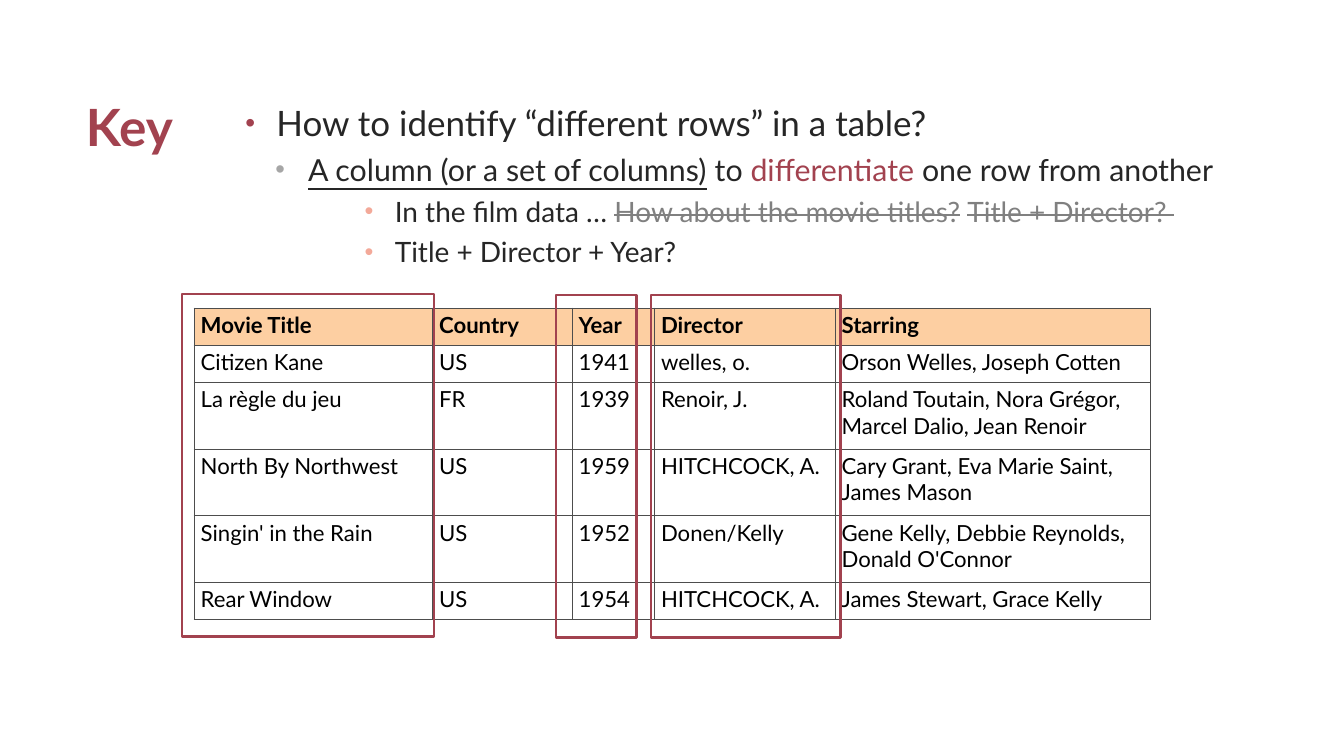
from lxml.etree import SubElement
from pptx import Presentation
from pptx.dml.color import RGBColor
from pptx.enum.shapes import MSO_SHAPE
from pptx.enum.text import MSO_ANCHOR, MSO_AUTO_SIZE, PP_ALIGN
from pptx.oxml import parse_xml
from pptx.oxml.ns import nsdecls, qn
from pptx.util import Cm, Pt

FONT = "Lato"
CRIMSON = RGBColor(0xA2, 0x42, 0x4F)
INK = RGBColor(0x26, 0x26, 0x26)
GRAY = RGBColor(0x80, 0x80, 0x80)
SILVER = RGBColor(0xA6, 0xA6, 0xA6)
SALMON = RGBColor(0xF3, 0xA9, 0x99)
PEACH = RGBColor(0xFD, 0xCF, 0xA2)
BORDER = RGBColor(0x4D, 0x4D, 0x4D)
BLACK = RGBColor(0, 0, 0)
WHITE = RGBColor(0xFF, 0xFF, 0xFF)


def style(font, size, color, bold=False):
    font.name = FONT
    font.size = Pt(size)
    font.color.rgb = color
    font.bold = bold


def add_bullet(para, left, hanging, color, percent):
    properties = para._p.get_or_add_pPr()
    properties.set("marL", str(Cm(left)))
    properties.set("indent", str(-Cm(hanging)))
    bullet_color = SubElement(properties, qn("a:buClr"))
    SubElement(bullet_color, qn("a:srgbClr"), val=str(color))
    SubElement(properties, qn("a:buSzPct"), val=str(percent * 1000))
    SubElement(properties, qn("a:buFont"), typeface="Arial")
    SubElement(properties, qn("a:buChar"), char="•")


deck = Presentation()
deck.slide_width = Cm(40.64)
deck.slide_height = Cm(22.86)
page = deck.slides.add_slide(deck.slide_layouts[5])

title = page.shapes.title
title.left, title.top, title.width, title.height = Cm(2.34), Cm(0.91), Cm(4.45), Cm(3.96)
title.text_frame.text = "Key"
title.text_frame.auto_size = MSO_AUTO_SIZE.NONE
title.text_frame.vertical_anchor = MSO_ANCHOR.BOTTOM
title.text_frame.paragraphs[0].alignment = PP_ALIGN.LEFT
style(title.text_frame.paragraphs[0].runs[0].font, 44, CRIMSON, True)

levels = [
    (0.94, 0.94, CRIMSON, 80, 30),
    (1.9, 0.99, SILVER, 90, 26),
    (4.52, 0.91, SALMON, 90, 24),
]
points = [
    (0, [("How to identify “different rows” in a table?", INK, "")]),
    (1, [
        ("A column (or a set of columns)", INK, "underline"),
        (" to ", INK, ""),
        ("differentiate", CRIMSON, ""),
        (" one row from another", INK, ""),
    ]),
    (2, [
        ("In the film data … ", INK, ""),
        ("How about the movie titles?", GRAY, "strike"),
        (" ", GRAY, ""),
        ("Title + Director? ", GRAY, "strike"),
    ]),
    (2, [("Title + Director + Year?", INK, "")]),
]
box = page.shapes.add_textbox(Cm(7.06), Cm(2.9), Cm(36), Cm(4.45))
frame = box.text_frame
frame.word_wrap = True
frame.margin_left = frame.margin_right = Cm(0.36)
frame.margin_top = frame.margin_bottom = Cm(0.18)
for index, (level, spans) in enumerate(points):
    para = frame.add_paragraph() if index else frame.paragraphs[0]
    left, hanging, bullet_color, percent, size = levels[level]
    para.level = level
    add_bullet(para, left, hanging, bullet_color, percent)
    para.space_before = Pt(4 if index else 0)
    para.space_after = Pt(2)
    for words, color, mark in spans:
        span = para.add_run()
        span.text = words
        style(span.font, size, color)
        if mark == "underline":
            span.font.underline = True
        elif mark == "strike":
            span._r.get_or_add_rPr().set("strike", "sngStrike")

films = [
    ("Movie Title", "Country", "Year", "Director", "Starring"),
    ("Citizen Kane", "US", "1941", "welles, o.", "Orson Welles, Joseph Cotten"),
    ("La règle du jeu", "FR", "1939", "Renoir, J.",
     "Roland Toutain, Nora Grégor, Marcel Dalio, Jean Renoir"),
    ("North By Northwest", "US", "1959", "HITCHCOCK, A.",
     "Cary Grant, Eva Marie Saint, James Mason"),
    ("Singin' in the Rain", "US", "1952", "Donen/Kelly",
     "Gene Kelly, Debbie Reynolds, Donald O'Connor"),
    ("Rear Window", "US", "1954", "HITCHCOCK, A.", "James Stewart, Grace Kelly"),
]
column_widths = [7.21, 4.22, 2.49, 5.46, 9.55]
row_heights = [1.12, 1.12, 2.02, 2.02, 2.02, 1.12]
table = page.shapes.add_table(
    len(films), len(column_widths), Cm(5.87), Cm(9.32),
    Cm(sum(column_widths)), Cm(sum(row_heights)),
).table
for column, width in zip(table.columns, column_widths):
    column.width = Cm(width)
for row_index, (film, height) in enumerate(zip(films, row_heights)):
    table.rows[row_index].height = Cm(height)
    header = row_index == 0
    for column_index, words in enumerate(film):
        cell = table.cell(row_index, column_index)
        cell.text_frame.text = words
        style(cell.text_frame.paragraphs[0].runs[0].font, 19, BLACK, header)
        cell.margin_left = cell.margin_right = Cm(0.2)
        cell.margin_top = cell.margin_bottom = Cm(0.1)
        for side in ("lnL", "lnR", "lnT", "lnB"):
            cell._tc.get_or_add_tcPr().append(parse_xml(
                f'<a:{side} {nsdecls("a")} w="{Pt(1)}"><a:solidFill>'
                f'<a:srgbClr val="{BORDER}"/></a:solidFill></a:{side}>'
            ))
        cell.fill.solid()
        cell.fill.fore_color.rgb = PEACH if header else WHITE

key_frames = [(5.51, 8.89, 7.62), (19.69, 8.92, 5.72), (16.81, 8.92, 2.44)]
for left, top, width in key_frames:
    key_frame = page.shapes.add_shape(
        MSO_SHAPE.RECTANGLE, Cm(left), Cm(top), Cm(width), Cm(10.36)
    )
    key_frame.shadow.inherit = False
    key_frame.fill.background()
    key_frame.line.color.rgb = CRIMSON
    key_frame.line.width = Pt(2.25)

deck.save("out.pptx")
